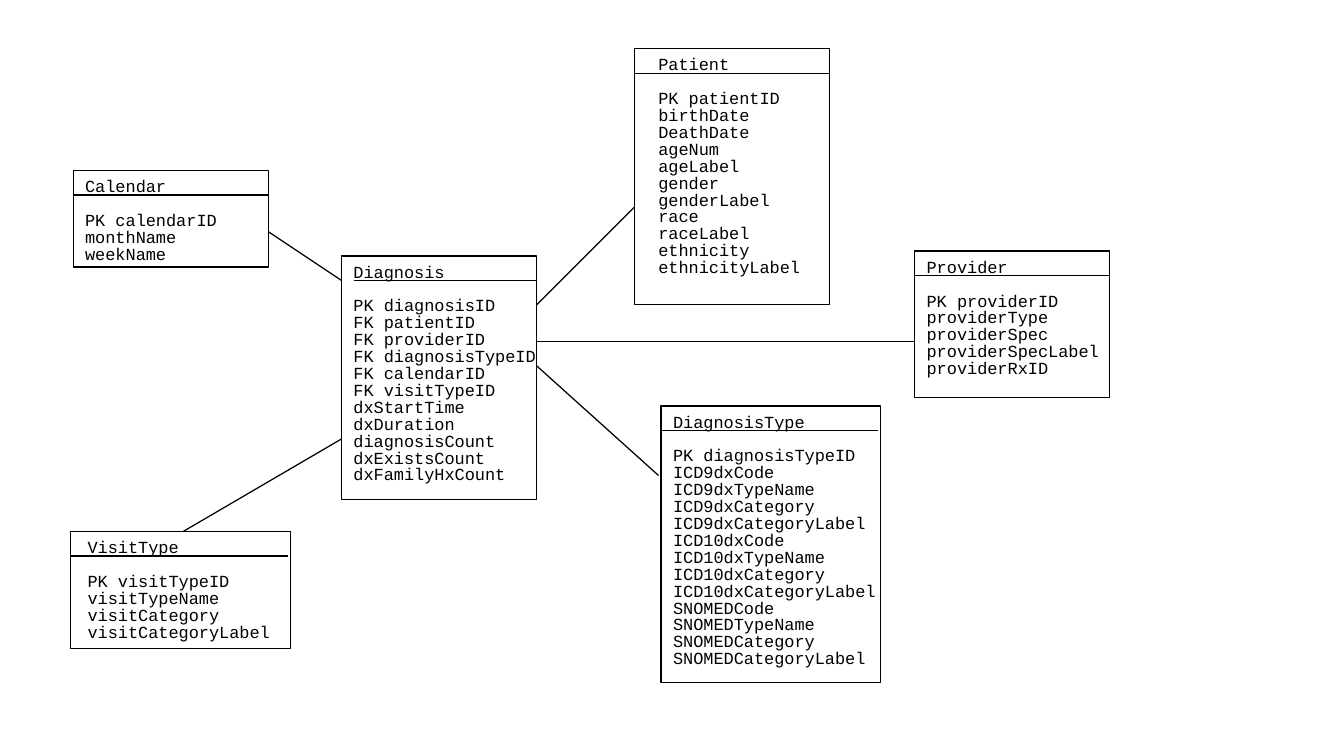
from pptx import Presentation
from pptx.dml.color import RGBColor
from pptx.enum.shapes import MSO_CONNECTOR as CONN, MSO_SHAPE as SHAPE
from pptx.enum.text import MSO_ANCHOR as ANCHOR
from pptx.oxml.ns import qn
from pptx.util import Inches, Pt
from lxml.etree import SubElement

BLACK = RGBColor(0x00, 0x00, 0x00)
CELL = Inches(0.1)  # one column or row of the layout grid
LINE = Pt(0.75)
HEADER = 2  # rows from the top of a table to its rule

# name, frame (left, top, width, height), text (left, width, height),
# rule (start, end), fields; all lengths in grid cells
TABLES = [
    ("Diagnosis", (28, 21, 16, 20), (28, 17, 20.3), (29, 44),
     ["PK diagnosisID", "FK patientID", "FK providerID", "FK diagnosisTypeID",
      "FK calendarID", "FK visitTypeID", "dxStartTime", "dxDuration",
      "diagnosisCount", "dxExistsCount", "dxFamilyHxCount"]),
    ("Patient", (52, 4, 16, 21), (53, 14, 20.3), (52, 68),
     ["PK patientID", "birthDate", "DeathDate", "ageNum", "ageLabel", "gender",
      "genderLabel", "race", "raceLabel", "ethnicity", "ethnicityLabel"]),
    ("Calendar", (6, 14, 16, 7.9), (6, 16, 7.9), (6, 22),
     ["PK calendarID", "monthName", "weekName"]),
    ("Provider", (75, 20.6, 16, 12), (75, 18, 13.4), (75, 91),
     ["PK providerID", "providerType", "providerSpec", "providerSpecLabel",
      "providerRxID"]),
    ("DiagnosisType", (54.2, 33.3, 18, 22.7), (54.2, 19.8, 23.1), (54.2, 72),
     ["PK diagnosisTypeID"]
     + [code + part for code in ("ICD9dx", "ICD10dx", "SNOMED")
        for part in ("Code", "TypeName", "Category", "CategoryLabel")]),
    ("VisitType", (5.8, 43.6, 18, 9.6), (6.2, 17, 9.6), (5.8, 23.6),
     ["PK visitTypeID", "visitTypeName", "visitCategory",
      "visitCategoryLabel"]),
]

# x1, y1, x2, y2 in grid cells
RELATIONS = [
    (44, 25, 52, 17),      # Diagnosis - Patient
    (44, 28, 75, 28),      # Diagnosis - Provider
    (44, 30, 54, 39),      # Diagnosis - DiagnosisType
    (28, 23, 22, 19),      # Diagnosis - Calendar
    (15, 43.6, 28, 36),    # VisitType - Diagnosis
]


def add_line(*ends):
    c = s.shapes.add_connector(CONN.STRAIGHT, *[int(v * CELL) for v in ends])
    c.line.color.rgb = BLACK
    c.line.width = LINE
    SubElement(c._element.spPr, qn("a:effectLst"))


def add_text(box, lines, font="Courier New", size=10, spacing=0.83, gap=10):
    """Write a heading and its fields, with a gap after the heading."""
    tb = s.shapes.add_textbox(*[int(v * CELL) for v in box])
    tf = tb.text_frame
    tf.word_wrap = True
    tf.vertical_anchor = ANCHOR.TOP
    tf.margin_left, tf.margin_right = Inches(0.1), 0
    tf.margin_top, tf.margin_bottom = Inches(0.07), Inches(0.05)
    for i, line in enumerate(lines):
        p = tf.add_paragraph() if i else tf.paragraphs[0]
        p.line_spacing = spacing
        p.space_before = Pt(gap if i == 1 else 0)
        r = p.add_run()
        r.text = line
        r.font.name, r.font.size = font, Pt(size)
        r.font.color.rgb = BLACK


prs = Presentation()
prs.slide_width, prs.slide_height = Inches(11.02), Inches(6.2)
s = prs.slides.add_slide(prs.slide_layouts[6])

for relation in RELATIONS:
    add_line(*relation)

for name, frame, (left, width, height), (start, end), fields in TABLES:
    sp = s.shapes.add_shape(SHAPE.RECTANGLE, *[int(v * CELL) for v in frame])
    sp.shadow.inherit = False
    sp.fill.background()
    sp.line.color.rgb = BLACK
    sp.line.width = LINE
    top = frame[1]
    add_line(start, top + HEADER, end, top + HEADER)
    add_text((left, top, width, height), [name] + fields)

prs.save("out.pptx")
